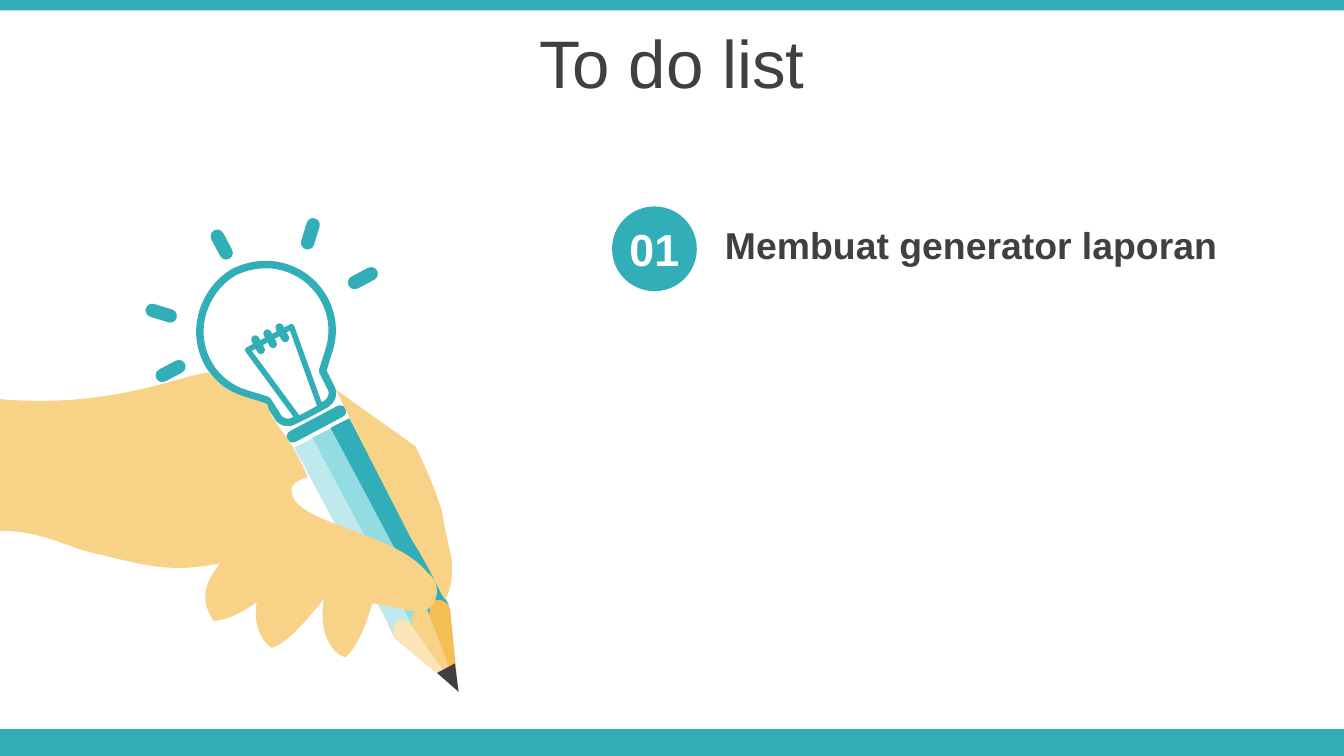
from math import cos, radians, sin

from lxml.etree import SubElement
from pptx import Presentation
from pptx.dml.color import RGBColor
from pptx.enum.shapes import MSO_SHAPE as Preset
from pptx.enum.text import MSO_ANCHOR as Anchor, PP_ALIGN as Align
from pptx.oxml.ns import qn
from pptx.util import Pt

TEAL = "32AEB8"
DARK = "404040"
WHITE = "FFFFFF"
SKIN = "F8D286"
TILT = 332

WOOD = "M 2.89 4.65 L 3.3 4.43 L 3.35 4.53 L 3.41 5.14 L 2.94 4.75"
WOOD_MIDDLE = "M 3.02 4.57 L 3.16 4.5 L 3.19 4.57 L 3.41 5.14 L 3.07 4.67"
WOOD_LIGHT = "M 2.89 4.65 L 3.02 4.58 C 3.04 4.6 3.05 4.62 3.06 4.65 L 3.4 5.13 L 2.94 4.75"
STRIPE = """M 2.19 3.33 L 2.33 3.26 L 3.07 4.65 C 3.03 4.61 2.99 4.6 2.96 4.62
C 2.93 4.63 2.92 4.68 2.93 4.72"""
BULB = """M 1.75 2.02 C 1.86 1.97 1.99 1.95 2.12 1.99 C 2.38 2.07 2.53 2.34 2.45 2.6
L 2.4 2.76 L 2.46 2.88 C 2.49 2.93 2.47 2.98 2.42 3.01 L 2.31 3.07 L 2.19 3.13
C 2.14 3.16 2.08 3.14 2.06 3.09 L 1.99 2.98 C 1.94 2.96 1.89 2.95 1.83 2.93
C 1.57 2.85 1.43 2.58 1.51 2.32 C 1.55 2.19 1.64 2.08 1.75 2.02"""
HAND = """M 2.5 2.9 L 3.09 3.32 C 3.17 3.48 3.25 3.67 3.29 3.81
C 3.31 3.95 3.34 4.05 3.36 4.16 C 3.37 4.26 3.36 4.39 3.31 4.46
C 3.26 4.39 3.22 4.26 3.06 4.01 C 2.93 3.75 2.64 3.2 2.5 2.9
M 1.56 2.77 C 1.67 2.95 1.9 2.96 1.99 3.01 C 2 3.1 2.13 3.24 2.17 3.31
C 2.22 3.4 2.25 3.46 2.29 3.55 C 2.22 3.57 2.16 3.6 2.17 3.66
C 2.19 3.9 2.93 3.95 3.18 4.26 C 3.31 4.36 3.24 4.54 3.14 4.55
C 3 4.55 2.95 4.51 2.77 4.49 C 2.71 4.69 2.65 4.82 2.57 4.89
C 2.5 4.88 2.36 4.74 2.41 4.46 C 2.31 4.57 2.16 4.78 2.02 4.82
C 1.91 4.74 1.89 4.59 1.91 4.48 C 1.83 4.54 1.71 4.61 1.59 4.62
C 1.46 4.43 1.56 4.29 1.64 4.19 C 1.28 4.27 1.06 4.2 0.76 4.13
C 0.53 4.09 0.31 3.94 -0.02 3.95 L 0 2.97 C 0.83 3.04 1.31 2.8 1.56 2.77"""


def color(code):
    return RGBColor.from_string(code)


def paint(shape, fill, line=None, weight=0):
    shape.shadow.inherit = False
    shape.fill.solid()
    shape.fill.fore_color.rgb = color(fill)
    if line:
        shape.line.color.rgb = color(line)
        shape.line.width = Pt(weight)
    else:
        shape.line.fill.background()


def add_preset(page, preset, left, top, width, height, fill=TEAL, turn=0, **outline):
    shape = page.shapes.add_shape(preset, Pt(left), Pt(top), Pt(width), Pt(height))
    shape.rotation = turn
    paint(shape, fill, **outline)
    return shape


def add_pill(page, left, top, width, height, turn):
    pill = add_preset(page, Preset.ROUNDED_RECTANGLE, left, top, width, height, turn=turn)
    pill.adjustments[0] = 0.5


def read_outline(outline, right, down):
    tokens = iter(outline.split())
    for command in tokens:
        yield command, [complex(Pt(72 * float(next(tokens)) + right),
                                Pt(72 * float(next(tokens)) + down))
                        for _ in range(3 if command == "C" else 1)]


def bend_segments(shape, commands):
    segments = [item for item in shape._element.iter(qn("a:moveTo"), qn("a:lnTo"))]
    remaining = iter(segments)
    for command in commands:
        segment = next(remaining)
        if command == "C":
            curve = SubElement(segment.getparent(), qn("a:cubicBezTo"))
            segment.addprevious(curve)
            for part in (segment, next(remaining), next(remaining)):
                curve.append(part[0])
                part.getparent().remove(part)


def add_outline(page, outline, fill, right=0, down=0, turn=0, **border):
    steps = list(read_outline(outline, right, down))
    spin = complex(cos(radians(turn)), sin(radians(turn)))
    builder = None
    for index, (command, points) in enumerate(steps):
        places = [(place.real, place.imag)
                  for place in (point * spin.conjugate() for point in points)]
        if builder is None:
            builder = page.shapes.build_freeform(*places[0], scale=1.0)
        elif command == "M":
            builder.move_to(*places[0])
        else:
            last = index + 1 == len(steps) or steps[index + 1][0] == "M"
            builder.add_line_segments(places, close=last)
    shape = builder.convert_to_shape()
    bend_segments(shape, [command for command, _ in steps])
    center = complex(shape.left + shape.width / 2, shape.top + shape.height / 2) * spin
    shape.left = round(center.real - shape.width / 2)
    shape.top = round(center.imag - shape.height / 2)
    shape.rotation = turn
    paint(shape, fill, **border)


def add_text(page, text, left, top, width, height, size=20, ink=DARK, bold=False,
             align=Align.LEFT, anchor=Anchor.TOP, before=0):
    box = page.shapes.add_textbox(Pt(left), Pt(top), Pt(width), Pt(height))
    frame = box.text_frame
    frame.word_wrap = True
    frame.vertical_anchor = anchor
    para = frame.paragraphs[0]
    para.alignment = align
    para.space_before = Pt(before)
    span = para.add_run()
    span.text = text
    span.font.name = "Arial"
    span.font.size = Pt(size)
    span.font.bold = bold
    span.font.color.rgb = color(ink)


def add_pencil(page):
    for outline, fill in ((WOOD, "F6BF56"), (WOOD_MIDDLE, SKIN), (WOOD_LIGHT, "FBE4B6")):
        add_outline(page, outline, fill, turn=TILT)
    for index, fill in enumerate(("BEEAED", "92DCE2", TEAL)):
        add_outline(page, STRIPE, fill, right=9.72 * index, down=-5.3 * index, turn=TILT)
    add_preset(page, Preset.ISOSCELES_TRIANGLE, 236.9, 357.1, 10.8, 14.4, DARK, TILT - 180)


def add_bulb(page):
    add_outline(page, BULB, WHITE, turn=107, line=TEAL, weight=4)
    add_preset(page, Preset.TRAPEZOID, 141.8, 178.6, 26.6, 45.4, WHITE, TILT - 180,
               line=TEAL, weight=3)
    rays = ((162.7, 116.6, 17), (82.8, 159.1, 287), (115.2, 122.4, TILT),
            (190.8, 140.4, 62), (87.8, 190.1, 242))
    for left, top, turn in rays:
        add_pill(page, left, top, 7.2, 17.3, turn)
    add_pill(page, 151.9, 223.9, 35.3, 6.5, TILT)
    for index in range(3):
        add_pill(page, 136.1 + 6.5 * index, 179.3 - 3.2 * index, 4.3, 10.8, TILT)


def add_task(page, number, task):
    add_preset(page, Preset.OVAL, 327.9, 110.6, 45.4, 45.4)
    add_text(page, task, 381.3, 115.6, 289.4, 31.7, bold=True)
    add_text(page, number, 325.4, 115.2, 50.4, 36, size=24, ink=WHITE, bold=True,
             align=Align.CENTER)


def main():
    deck = Presentation()
    deck.slide_width = Pt(720)
    deck.slide_height = Pt(405)
    page = deck.slides.add_slide(deck.slide_layouts[6])
    add_preset(page, Preset.RECTANGLE, 0, 390.6, 720, 14.4)
    add_preset(page, Preset.RECTANGLE, 0, 0, 720, 5.6)
    add_text(page, "To do list", 0, 10.1, 720, 45.4, size=36, align=Align.CENTER,
             anchor=Anchor.MIDDLE, before=3)
    add_pencil(page)
    add_bulb(page)
    add_outline(page, HAND, SKIN)
    add_task(page, "01", "Membuat generator laporan")
    deck.save("out.pptx")


main()
